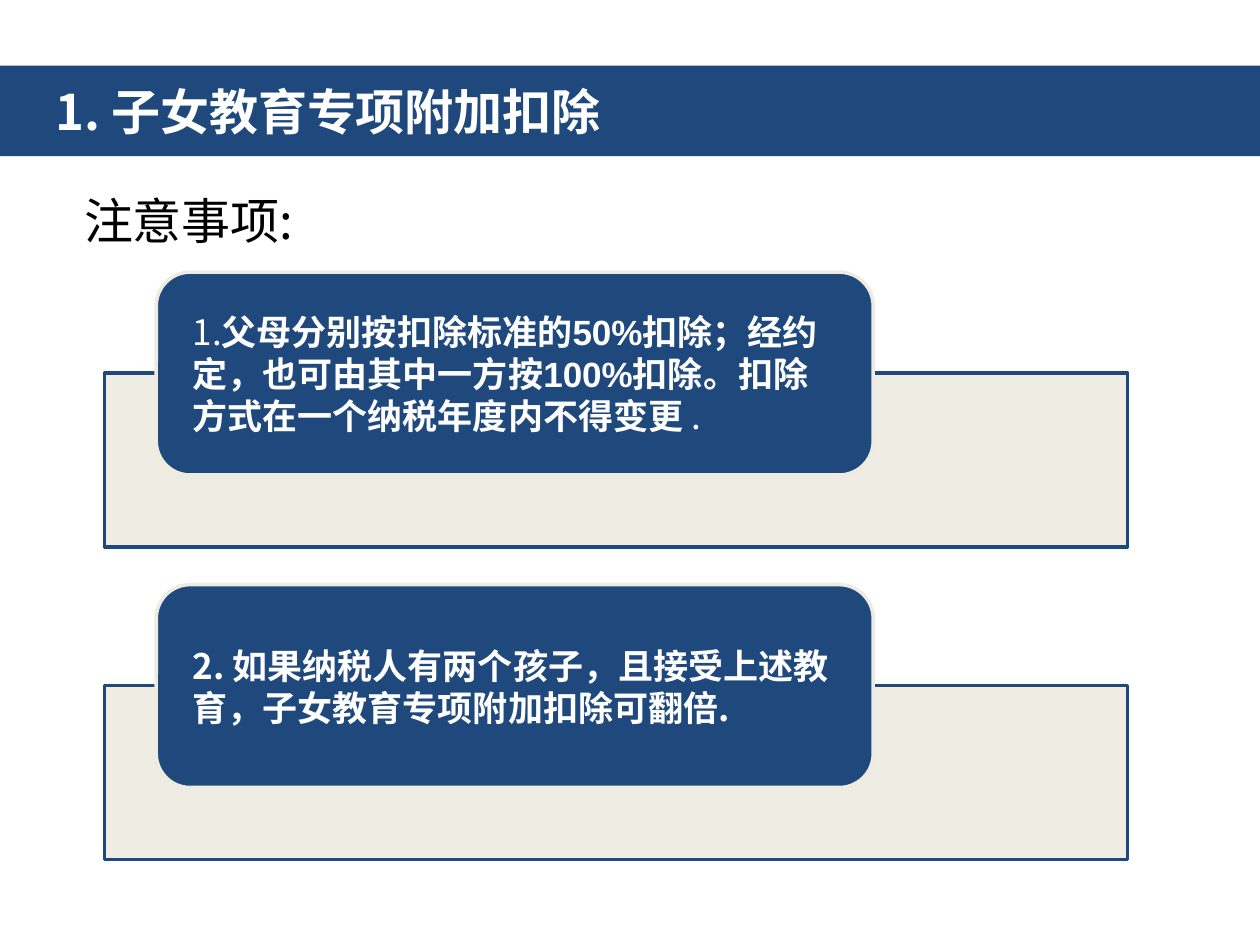
from lxml import etree
from pptx import Presentation
from pptx.dml.color import RGBColor
from pptx.enum.shapes import MSO_SHAPE as Shape
from pptx.enum.text import MSO_ANCHOR as Anchor, MSO_AUTO_SIZE as AutoSize, PP_ALIGN as Align
from pptx.oxml.ns import qn
from pptx.util import Inches, Pt

NAVY = RGBColor(0x1F, 0x49, 0x7D)
CREAM = RGBColor(0xEE, 0xEC, 0xE1)
WHITE = RGBColor(0xFF, 0xFF, 0xFF)
BLACK = RGBColor(0x00, 0x00, 0x00)
CJK = "Noto Sans CJK SC"
LATIN = "Arial"
COLS, ROWS = 100, 75


class Deck:
    """Holds the style and the current slide; lengths are grid columns and rows."""

    def __init__(self):
        self.prs = Presentation()
        self.prs.slide_width, self.prs.slide_height = Inches(10), Inches(7.5)
        self.slide = self.prs.slides.add_slide(self.prs.slide_layouts[5])

    def cols(self, n):
        return round(self.prs.slide_width * n / COLS)

    def rows(self, n):
        return round(self.prs.slide_height * n / ROWS)

    def box(self, x, y, w, h):
        return self.cols(x), self.rows(y), self.cols(w), self.rows(h)

    def set_runs(self, tf, runs, size, color, anchor, inset):
        """Fill a text frame with (text, font, bold) runs."""
        tf.word_wrap, tf.auto_size, tf.vertical_anchor = True, AutoSize.NONE, anchor
        tf.margin_left = tf.margin_right = self.cols(inset)
        p = tf.paragraphs[0]
        p.alignment = Align.LEFT
        for text, font, bold in runs:
            r = p.add_run()
            r.text = text
            r.font.name, r.font.size, r.font.bold = font, Pt(size), bold
            r.font.color.rgb = color
            etree.SubElement(r.font._element, qn("a:ea"), typeface=CJK)
        return p

    def title(self, text, place):
        sp = self.slide.shapes.title
        sp.left, sp.top, sp.width, sp.height = self.box(*place)
        sp.fill.solid()
        sp.fill.fore_color.rgb = NAVY
        self.set_runs(sp.text_frame, [(text, CJK, True)], 28, WHITE, Anchor.MIDDLE, 4.4)

    def heading(self, text, place):
        sp = self.slide.shapes.add_textbox(*self.box(*place))
        p = self.set_runs(sp.text_frame, [(text, CJK, False)], 28, BLACK, Anchor.TOP, 1.87)
        p.line_spacing = 1.5

    def panel(self, kind, place, fill, line, opacity=100):
        sp = self.slide.shapes.add_shape(kind, *self.box(*place))
        sp.shadow.inherit = False
        sp.fill.solid()
        sp.fill.fore_color.rgb = fill
        if opacity < 100:
            color = sp.fill._xPr.find(qn("a:solidFill"))[0]
            etree.SubElement(color, qn("a:alpha"), val=str(opacity * 1000))
        sp.line.color.rgb = line
        sp.line.width = Pt(2)
        return sp

    def note(self, top, runs):
        """A pale frame with a dark card overlapping its upper edge."""
        self.panel(Shape.RECTANGLE, (8.3, top + 8, 81.2, 13.8), CREAM, NAVY, opacity=90)
        card = self.panel(Shape.ROUNDED_RECTANGLE, (12.4, top, 56.9, 16.1), NAVY, CREAM)
        tf = card.text_frame
        self.set_runs(tf, runs, 20, WHITE, Anchor.MIDDLE, 2.1)
        tf.margin_top = tf.margin_bottom = 0


def main():
    deck = Deck()

    # Title band and heading
    deck.title("1. 子女教育专项附加扣除", (0, 5.2, COLS, 7.2))
    deck.heading("注意事项:", (4.8, 12.3, 25.9, 7.6))

    # Notes, stacked at an equal pitch
    notes = [
        [("1.", CJK, False),
         ("父母分别按扣除标准的50%扣除；经约定，也可由其中一方按100%扣除。"
          "扣除方式在一个纳税年度内不得变更", LATIN, True),
         (" .", CJK, False)],
        [("2. ", CJK, True),
         ("如果纳税人有两个孩子，且接受上述教育，子女教育专项附加扣除可翻倍", LATIN, True),
         (".", CJK, True)],
    ]
    for i, runs in enumerate(notes):
        deck.note(21.6 + 24.8 * i, runs)

    deck.prs.save("out.pptx")


if __name__ == "__main__":
    main()
